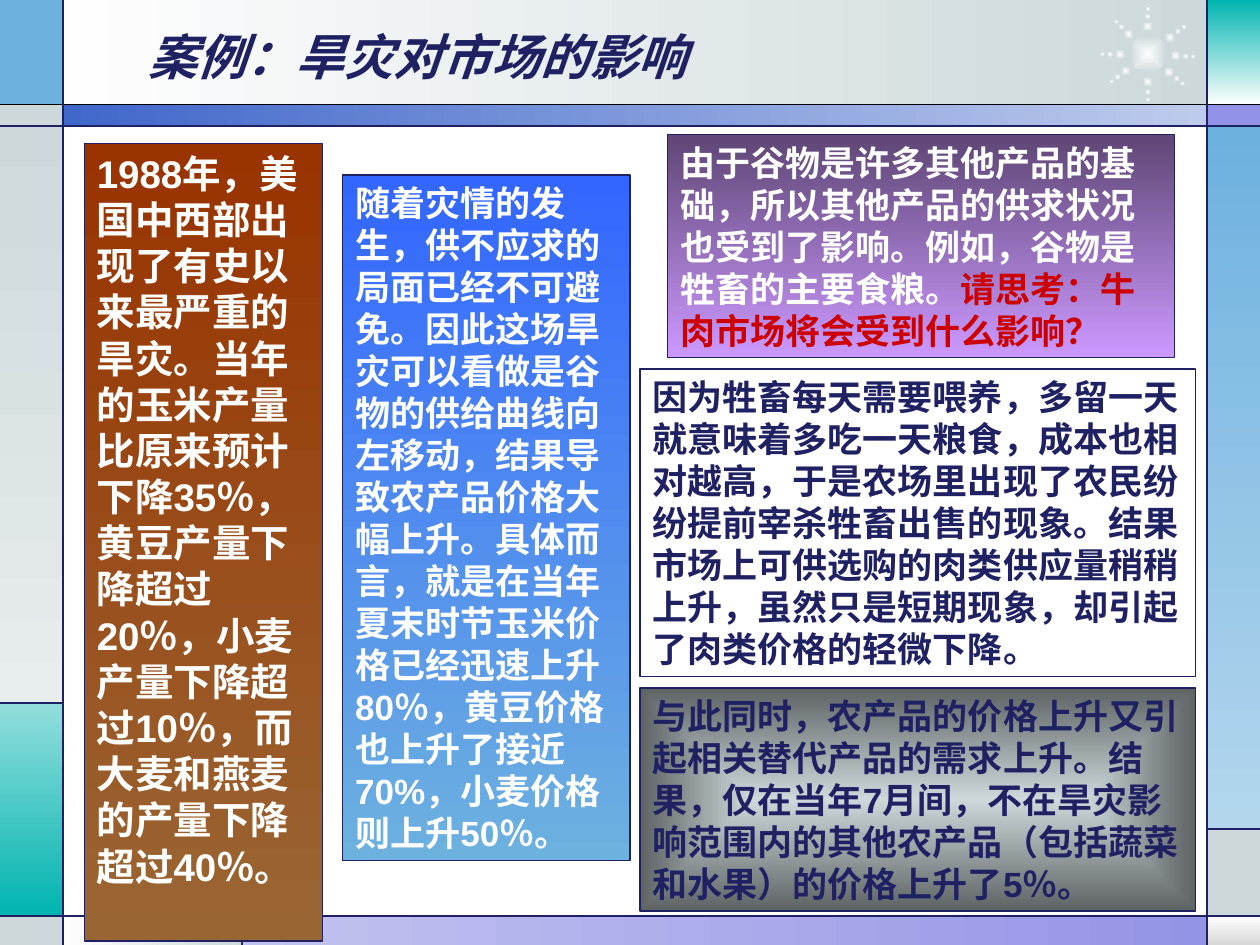
import math
from dataclasses import dataclass

from lxml import etree
from pptx import Presentation
from pptx import util as u
from pptx.dml.color import RGBColor
from pptx.enum import shapes, text
from pptx.oxml.ns import qn


@dataclass(frozen=True)
class Theme:
    navy: str = "1F2163"
    black: str = "000000"
    white: str = "FFFFFF"
    red: str = "CC0000"
    mist: str = "CCD8DA"
    pale: str = "FEFEFE"
    sky: str = "6DB1DF"
    teal: str = "00B4B0"
    violet: str = "9292E6"
    latin: str = "Arial"
    asian: str = "Noto Sans CJK SC"
    title: int = 28
    lead: int = 22
    body: int = 20
    rule: float = 0.75


THEME = Theme()
DOWN, LEFT, CENTRE = 90, 180, "centre"

# Edges of the frame grid, in inches
COLS = (0, 0.5, 1.92, 9.58, 10)
ROWS = (0, 0.83, 1, 5.58, 6.58, 7.27, 7.5)

# First column, last column, first row, last row, colours, direction
BANDS = [
    (1, 3, 0, 1, (THEME.mist, THEME.pale), LEFT),
    (0, 1, 0, 1, (THEME.sky,), None),
    (0, 1, 1, 2, (THEME.mist,), None),
    (0, 1, 2, 3, (THEME.mist, "E8EDEE"), DOWN),
    (0, 1, 3, 5, ("92DEDC", THEME.teal), DOWN),
    (0, 1, 5, 6, (THEME.mist,), None),
    (1, 2, 5, 6, (THEME.mist, THEME.pale), LEFT),
    (2, 4, 5, 6, (THEME.violet, "C2C2F0"), LEFT),
    (3, 4, 5, 6, (THEME.white, "D7D7D7"), DOWN),
    (3, 4, 4, 5, (THEME.mist,), None),
    (3, 4, 2, 4, (THEME.sky, "B3D6ED"), DOWN),
    (3, 4, 1, 2, (THEME.violet,), None),
    (3, 4, 0, 1, (THEME.teal, THEME.pale), DOWN),
    (1, 3, 1, 2, ("BECBEC", "4067CA"), LEFT),
]

# First column, first row, last column, last row
RULES = [(0, 1, 4, 1), (0, 2, 4, 2), (0, 5, 4, 5), (1, 0, 1, 6),
         (3, 0, 3, 6), (0, 3, 1, 3), (2, 5, 2, 6), (3, 4, 4, 4)]

# Place, colours, direction, type size, coloured spans
CASE_BOXES = [
    ((0.67, 1.14, 1.89, 6.33), ("993300", "996633"), DOWN, THEME.lead, [
        ("1988年，美国中西部出现了有史以来最严重的旱灾。当年的玉米产量比原来预计下降"
         "35％，黄豆产量下降超过20％，小麦产量下降超过10％，而大麦和燕麦的产量"
         "下降超过40％。", THEME.white)]),
    ((2.72, 1.39, 2.28, 5.44), ("3366FF", THEME.sky), DOWN, THEME.body, [
        ("随着灾情的发生，供不应求的局面已经不可避免。因此这场旱灾可以看做是谷物的"
         "供给曲线向左移动，结果导致农产品价格大幅上升。具体而言，就是在当年夏末时节"
         "玉米价格已经迅速上升80％，黄豆价格也上升了接近70%，小麦价格则上升50％。",
         THEME.white)]),
    ((5.3, 1.07, 4.02, 1.77), ("5E4675", "CC99FF"), DOWN, THEME.body, [
        ("由于谷物是许多其他产品的基础，所以其他产品的供求状况也受到了影响。例如，"
         "谷物是牲畜的主要食粮。", THEME.white),
        ("请思考：牛肉市场将会受到什么影响？", THEME.red)]),
    ((5.08, 2.93, 4.41, 2.44), (), None, THEME.body, [
        ("因为牲畜每天需要喂养，多留一天就意味着多吃一天粮食，成本也相对越高，于是"
         "农场里出现了农民纷纷提前宰杀牲畜出售的现象。结果市场上可供选购的肉类供应量"
         "稍稍上升，虽然只是短期现象，却引起了肉类价格的轻微下降。", THEME.navy)]),
    ((5.08, 5.46, 4.41, 1.77), (THEME.mist, "5E6364"), CENTRE, THEME.body, [
        ("与此同时，农产品的价格上升又引起相关替代产品的需求上升。结果，仅在当年7月间，"
         "不在旱灾影响范围内的其他农产品（包括蔬菜和水果）的价格上升了5％。",
         THEME.navy)]),
]


def rgb(code):
    return RGBColor.from_string(code)


def apply(target, values):
    for name, value in values.items():
        setattr(target, name, value)


def paint(shape, colours, direction):
    """Fill with nothing, one colour, or a gradient (clockwise degrees or CENTRE)."""
    fill = shape.fill
    if not colours:
        fill.background()
    elif len(colours) == 1:
        fill.solid()
        fill.fore_color.rgb = rgb(colours[0])
    else:
        fill.gradient()
        for stop, colour in zip(fill.gradient_stops, colours):
            stop.color.rgb = rgb(colour)
        if direction == CENTRE:
            linear = shape._element.spPr.find(".//" + qn("a:lin"))
            radial = etree.Element(qn("a:path"), {"path": "rect"})
            etree.SubElement(radial, qn("a:fillToRect"),
                             dict.fromkeys("ltrb", "50000"))
            linear.getparent().replace(linear, radial)
        else:
            fill.gradient_angle = 360 - direction


def add_block(page, kind, place, colours, direction):
    block = page.shapes.add_shape(kind, *map(u.Inches, place))
    block.shadow.inherit = False
    block.line.fill.background()
    paint(block, colours, direction)
    return block


def add_bands(page):
    for c1, c2, r1, r2, colours, direction in BANDS:
        place = COLS[c1], ROWS[r1], COLS[c2] - COLS[c1], ROWS[r2] - ROWS[r1]
        add_block(page, shapes.MSO_SHAPE.RECTANGLE, place, colours, direction)


def add_sunburst(page, x=9.11, y=0.43):
    """A round core with eight rays of three shrinking dots."""
    dots = [(0, 0, 0.3)]
    for angle in (3, 40, 90, 143, 180, 226, 270, 323):
        dots += [(angle, 0.22, 0.08), (angle, 0.3, 0.05), (angle, 0.36, 0.04)]
    for angle, radius, size in dots:
        left = x + radius * math.cos(math.radians(angle)) - size / 2
        top = y + radius * math.sin(math.radians(angle)) - size / 2
        add_block(page, shapes.MSO_SHAPE.OVAL, (left, top, size, size),
                  (THEME.pale, THEME.mist), CENTRE)


def add_rules(page):
    for index, (c1, r1, c2, r2) in enumerate(RULES):
        ends = COLS[c1], ROWS[r1], COLS[c2], ROWS[r2]
        rule = page.shapes.add_connector(shapes.MSO_CONNECTOR.STRAIGHT,
                                         *map(u.Inches, ends))
        rule.line.color.rgb = rgb(THEME.navy if index else THEME.black)
        rule.line.width = u.Pt(THEME.rule)
        etree.SubElement(rule._element.spPr, qn("a:effectLst"))


def write(frame, spans, latin, size, italic=False):
    """Set the spans in one paragraph, keeping punctuation inside the margin."""
    para = frame.paragraphs[0]
    para.alignment = text.PP_ALIGN.LEFT
    para._p.get_or_add_pPr().set("hangingPunct", "0")
    for words, colour in spans:
        span = para.add_run()
        span.text = words
        apply(span.font, {"name": latin, "size": u.Pt(size),
                          "bold": True, "italic": italic})
        span.font.color.rgb = rgb(colour)
        marks = span._r.get_or_add_rPr()
        marks.set("lang", "zh-CN")
        etree.SubElement(marks, qn("a:ea"), {"typeface": THEME.asian})


def add_title(page, words):
    title = page.shapes.title
    page.shapes._spTree.append(title._element)  # bring in front of the bands
    apply(title, {"left": u.Inches(1.08), "top": u.Inches(0.13),
                  "width": u.Inches(7.33), "height": u.Inches(0.62)})
    apply(title.text_frame, {"vertical_anchor": text.MSO_ANCHOR.MIDDLE,
                             "auto_size": text.MSO_AUTO_SIZE.NONE})
    write(title.text_frame, [(words, THEME.navy)], THEME.asian, THEME.title, True)


def add_case_box(page, place, colours, direction, size, spans):
    box = add_block(page, shapes.MSO_SHAPE.RECTANGLE, place, colours, direction)
    box.line.color.rgb = rgb(THEME.navy)
    box.line.width = u.Pt(THEME.rule)
    apply(box.text_frame, {"word_wrap": True,
                           "vertical_anchor": text.MSO_ANCHOR.TOP,
                           "auto_size": text.MSO_AUTO_SIZE.NONE})
    write(box.text_frame, spans, THEME.latin, size)


def main():
    deck = Presentation()
    apply(deck, {"slide_width": u.Inches(10), "slide_height": u.Inches(7.5)})
    page = deck.slides.add_slide(deck.slide_layouts.get_by_name("Title Only"))
    add_bands(page)
    add_sunburst(page)
    add_rules(page)
    add_title(page, "案例：旱灾对市场的影响")
    for case_box in CASE_BOXES:
        add_case_box(page, *case_box)
    deck.save("out.pptx")


if __name__ == "__main__":
    main()
